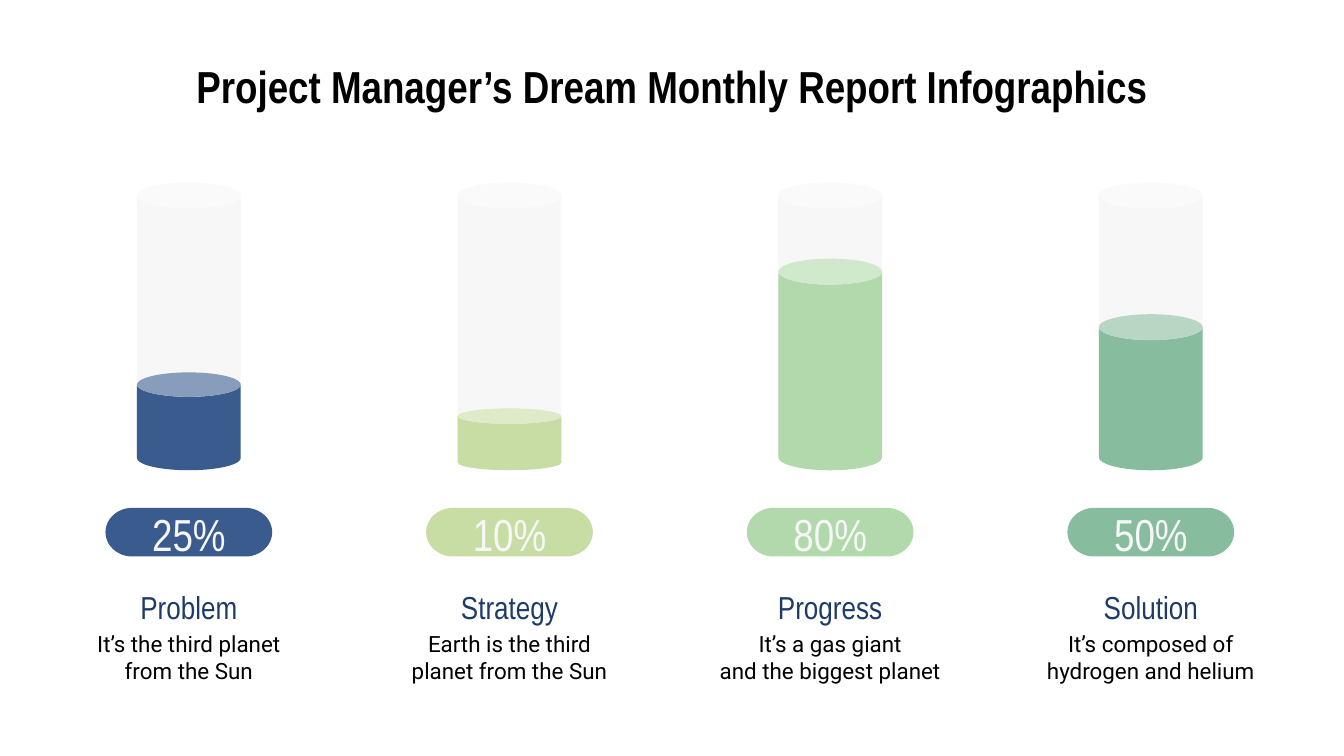
from dataclasses import dataclass

from pptx import Presentation
from pptx.dml.color import RGBColor
from pptx.enum.shapes import MSO_SHAPE
from pptx.enum.text import MSO_ANCHOR, MSO_AUTO_SIZE, PP_ALIGN
from pptx.util import Cm, Pt

HEADING_FONT = "Arial Narrow"
BODY_FONT = "Roboto"
PALE = "F7F7F7"
NAVY = "1C3B6A"
BLACK = "000000"


@dataclass
class Box:
    left: float
    top: float
    width: float
    height: float

    def lengths(self):
        return Cm(self.left), Cm(self.top), Cm(self.width), Cm(self.height)

    def centred(self, offset, width, height):
        left = self.left + (self.width - width) / 2
        return Box(left, self.top + offset, width, height)


@dataclass
class Measure:
    name: str
    percent: str
    level: float
    color: str
    detail: str


MEASURES = [
    Measure("Problem", "25%", 1.85, "395B8E", "It’s the third planet from the Sun"),
    Measure("Strategy", "10%", 1.17, "C8DDA4", "Earth is the third planet from the Sun"),
    Measure("Progress", "80%", 4.0, "B2D9AB", "It’s a gas giant\nand the biggest planet"),
    Measure("Solution", "50%", 2.95, "87BC9E", "It’s composed of hydrogen and helium"),
]


def rgb(color):
    return RGBColor.from_string(color)


def write(frame, text, *, size, color, font=HEADING_FONT, bold=False,
          anchor=MSO_ANCHOR.MIDDLE):
    frame.word_wrap = True
    frame.auto_size = MSO_AUTO_SIZE.NONE
    frame.vertical_anchor = anchor
    frame.margin_left = frame.margin_right = Cm(0.25)
    frame.margin_top = frame.margin_bottom = Cm(0.25)
    para = frame.paragraphs[0]
    para.text = text
    para.alignment = PP_ALIGN.CENTER
    for span in para.runs:
        span.font.name = font
        span.font.size = Pt(size)
        span.font.bold = bold
        span.font.color.rgb = rgb(color)


def add_text(page, box, text, **style):
    write(page.shapes.add_textbox(*box.lengths()).text_frame, text, **style)


def add_filled(shapes, kind, box, color):
    shape = shapes.add_shape(kind, *box.lengths())
    shape.shadow.inherit = False
    shape.fill.solid()
    shape.fill.fore_color.rgb = rgb(color)
    shape.line.fill.background()


def add_title(page, box, text):
    title = page.shapes.title
    title.left, title.top, title.width, title.height = box.lengths()
    write(title.text_frame, text, size=24, color=BLACK, bold=True,
          anchor=MSO_ANCHOR.TOP)


def add_cylinder(page, box, level, color):
    group = page.shapes.add_group_shape()
    liquid = box.centred(box.height - level, box.width, level)
    add_filled(group.shapes, MSO_SHAPE.CAN, box, PALE)
    add_filled(group.shapes, MSO_SHAPE.CAN, liquid, color)


def add_measure(page, box, measure):
    add_cylinder(page, box.centred(0, 1.96, 5.44), measure.level, measure.color)
    add_filled(page.shapes, MSO_SHAPE.FLOWCHART_TERMINATOR,
               box.centred(6.15, 3.15, 0.92), measure.color)
    add_text(page, box.centred(6.05, 2.39, 1.19), measure.percent,
             size=24, color=PALE)
    add_text(page, box.centred(7.42, box.width, 1.19), measure.name,
             size=17, color=NAVY)
    add_text(page, box.centred(8.23, box.width, 1.47), measure.detail,
             size=12, color=BLACK, font=BODY_FONT)


def main():
    deck = Presentation()
    deck.slide_width, deck.slide_height = Cm(25.4), Cm(14.29)
    page = deck.slides.add_slide(deck.slide_layouts[5])
    add_title(page, Box(0.5, 0.86, 24.4, 1.6),
              "Project Manager’s Dream Monthly Report Infographics")
    column_pitch = 6.06
    for index, measure in enumerate(MEASURES):
        add_measure(page, Box(1.17 + index * column_pitch, 3.45, 4.8, 9.7), measure)
    deck.save("out.pptx")


if __name__ == "__main__":
    main()
